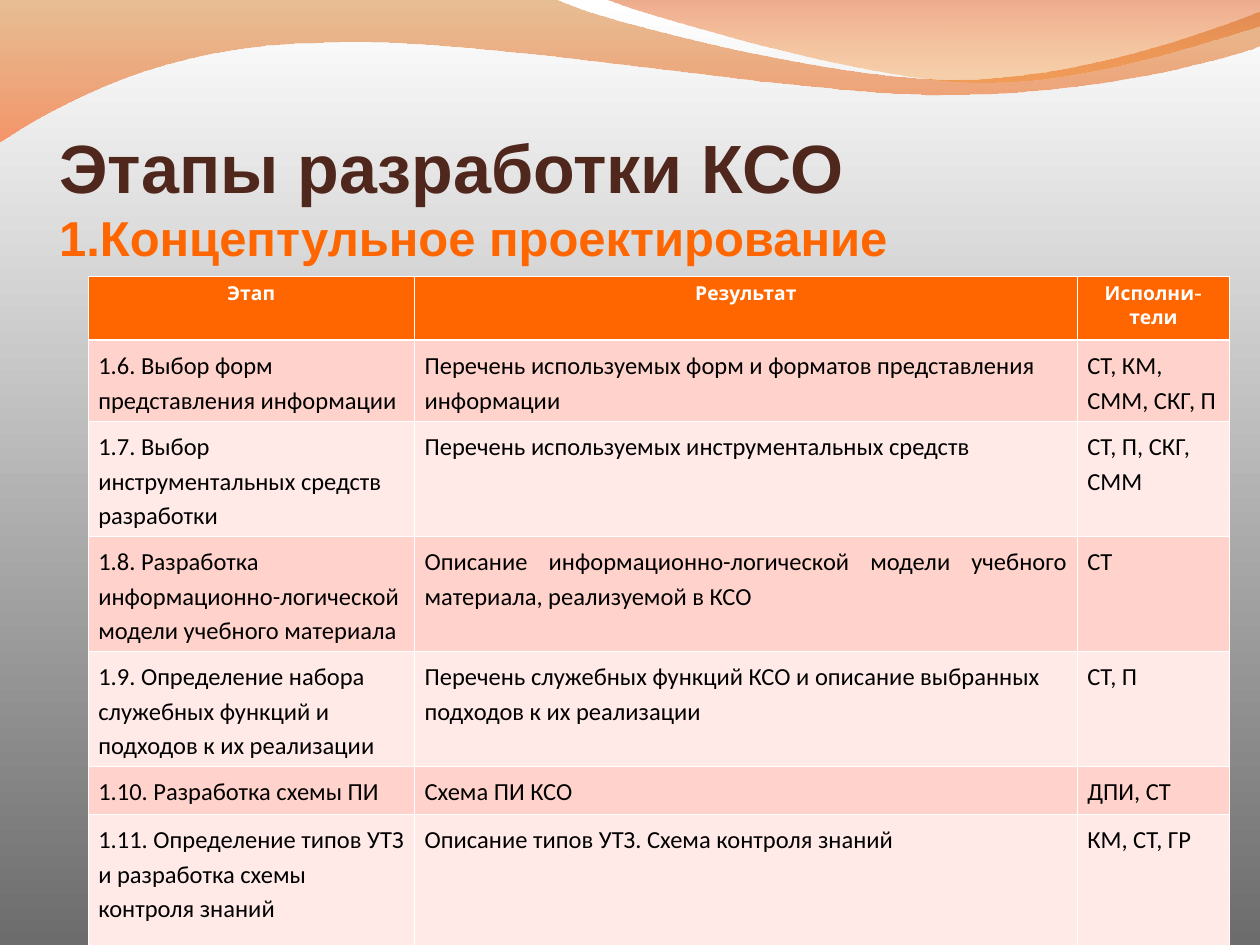
"""Build a slide with a table of conceptual design stages under a wave header."""
from lxml.etree import SubElement
from pptx import Presentation
from pptx.dml.color import RGBColor
from pptx.enum.text import MSO_ANCHOR, PP_ALIGN
from pptx.oxml.ns import qn
from pptx.util import Inches, Pt

WHITE = RGBColor(0xFF, 0xFF, 0xFF)
BLACK = RGBColor(0x00, 0x00, 0x00)
GREY = RGBColor(0x6C, 0x6C, 0x6C)
BROWN = RGBColor(0x4F, 0x27, 0x1C)
ORANGE = RGBColor(0xFF, 0x66, 0x00)
BANDS = RGBColor(0xFF, 0xD3, 0xCB), RGBColor(0xFF, 0xEA, 0xE7)
OCHRE = RGBColor(0xCB, 0x6F, 0x13)
CORAL = RGBColor(0xFF, 0x4F, 0x00)
RUST = RGBColor(0xD8, 0x43, 0x00)
AMBER = RGBColor(0xFF, 0x86, 0x07)

TITLE = [("Этапы разработки КСО", 39, BROWN),
         ("1.Концептульное проектирование", 28, ORANGE)]
HEADER = ["Этап", "Результат", "Исполни-тели"]
STAGES = [
    ("1.6. Выбор форм представления информации",
     "Перечень используемых форм и форматов представления информации",
     "СТ, КМ, СММ, СКГ, П"),
    ("1.7. Выбор инструментальных средств разработки",
     "Перечень используемых инструментальных средств",
     "СТ, П, СКГ, СММ"),
    ("1.8. Разработка информационно-логической модели учебного материала",
     "Описание информационно-логической модели учебного материала, реализуемой в КСО",
     "СТ"),
    ("1.9. Определение набора служебных функций и подходов к их реализации",
     "Перечень служебных функций КСО и описание выбранных подходов к их реализации",
     "СТ, П"),
    ("1.10. Разработка схемы ПИ", "Схема ПИ КСО", "ДПИ, СТ"),
    ("1.11. Определение типов УТЗ и разработка схемы контроля знаний",
     "Описание типов УТЗ. Схема контроля знаний",
     "КМ, СТ, ГР"),
]
JUSTIFIED_ROWS = {3, 5, 6}
COL_WIDTHS = [2.59, 5.26, 1.21]
ROW_HEIGHTS = [0.51, 0.64, 0.8, 0.81, 0.81, 0.38, 1.06]

WAVES = [
    ((0, -0.01),
     [[(4.4, -0.01)],
      [(4.76, 0.17), (6.64, 0.63), (7.58, 0.63)],
      [(8.53, 0.63), (9.58, 0.26), (10, 0.09)],
      [(10.01, 0.36)],
      [(9.83, 0.44), (8.7, 0.76), (7.46, 0.75)],
      [(6.22, 0.75), (3.82, 0.28), (2.57, 0.34)],
      [(1.29, 0.35), (0.46, 0.83), (-0.01, 1.13)],
      [(0, -0.01)]],
     (OCHRE, CORAL), (45, 55)),
    ((4.79, -0.01),
     [[(5.09, 0.11), (6.82, 0.62), (7.69, 0.65)],
      [(8.56, 0.69), (9.61, 0.32), (10, 0.21)],
      [(10, 0)],
      [(4.79, -0.01)]],
     (RUST, AMBER), (45, 30)),
]


def set_gradient(fill, colors):
    fill.gradient()
    fill.gradient_angle = 270
    for stop, color in zip(fill.gradient_stops, colors):
        stop.color.rgb = color


def bend_segments(sp, segments):
    lines = iter(list(sp._element.iter(qn("a:lnTo"))))
    for seg in segments:
        parts = [next(lines) for _ in seg]
        if len(parts) == 3:
            curve = parts[0].makeelement(qn("a:cubicBezTo"))
            parts[0].addprevious(curve)
            for line in parts:
                curve.append(line[0])
                line.getparent().remove(line)


def add_wave(s, start, segments, colors, opacities):
    points = [start] + [point for seg in segments for point in seg]
    emu = [(Inches(x), Inches(y)) for x, y in points]
    builder = s.shapes.build_freeform(*emu[0])
    builder.add_line_segments(emu[1:], close=True)
    sp = builder.convert_to_shape()
    bend_segments(sp, segments)
    sp.shadow.inherit = False
    sp.line.fill.background()
    set_gradient(sp.fill, colors)
    stops = sp._element.spPr.iter(qn("a:srgbClr"))
    for clr, opacity in zip(stops, opacities):
        SubElement(clr, qn("a:alpha"), val=str(opacity * 1000))


def set_borders(cell, top, bottom):
    tcPr = cell._tc.get_or_add_tcPr()
    for i, (side, width) in enumerate(zip("LRTB", (0.45, 0.45, top, bottom))):
        ln = SubElement(tcPr, qn(f"a:ln{side}"), w=str(Pt(width)))
        SubElement(SubElement(ln, qn("a:solidFill")), qn("a:srgbClr"), val=str(WHITE))
        tcPr.insert(i, ln)


def fill_cell(cell, text, row, col):
    cell.fill.solid()
    cell.text = text
    p = cell.text_frame.paragraphs[0]
    font = p.font
    if row == 0:
        cell.fill.fore_color.rgb = ORANGE
        p.alignment = PP_ALIGN.CENTER
        font.name, font.size, font.bold = "Cabin", Pt(11), True
        font.color.rgb = WHITE
    else:
        cell.fill.fore_color.rgb = BANDS[(row - 1) % 2]
        cell.margin_left = cell.margin_right = Inches(0.08)
        cell.margin_top = cell.margin_bottom = Pt(3.9)
        p.line_spacing = 1.15
        justified = col == 1 and row in JUSTIFIED_ROWS
        p.alignment = PP_ALIGN.JUSTIFY if justified else PP_ALIGN.LEFT
        font.name, font.size, font.bold = "Calibri", Pt(14), False
        font.color.rgb = BLACK
    set_borders(cell, 1.47 if row == 1 else 0.45, 1.47 if row == 0 else 0.45)


def add_title(s):
    tf = s.shapes.add_textbox(Inches(0.47), Inches(0.86), Inches(9.14), Inches(1.25)).text_frame
    tf.word_wrap = True
    tf.vertical_anchor = MSO_ANCHOR.BOTTOM
    tf.margin_left = tf.margin_right = tf.margin_bottom = 0
    p = tf.paragraphs[0]
    p.font.name, p.font.bold = "Arial", True
    for i, (text, size, color) in enumerate(TITLE):
        if i:
            p.add_line_break()
        r = p.add_run()
        r.text = text
        r.font.size = Pt(size)
        r.font.color.rgb = color


def add_stage_table(s):
    rows = [HEADER, *STAGES]
    table = s.shapes.add_table(len(rows), len(HEADER), Inches(0.7), Inches(2.19),
                               Inches(sum(COL_WIDTHS)), Inches(sum(ROW_HEIGHTS))).table
    for column, width in zip(table.columns, COL_WIDTHS):
        column.width = Inches(width)
    for i, (texts, height) in enumerate(zip(rows, ROW_HEIGHTS)):
        table.rows[i].height = Inches(height)
        for j, text in enumerate(texts):
            fill_cell(table.cell(i, j), text, i, j)


def main():
    prs = Presentation()
    prs.slide_width, prs.slide_height = Inches(10), Inches(7.5)
    s = prs.slides.add_slide(prs.slide_layouts[6])
    set_gradient(s.background.fill, (WHITE, GREY))
    for wave in WAVES:
        add_wave(s, *wave)
    add_title(s)
    add_stage_table(s)
    prs.save("out.pptx")


if __name__ == "__main__":
    main()
